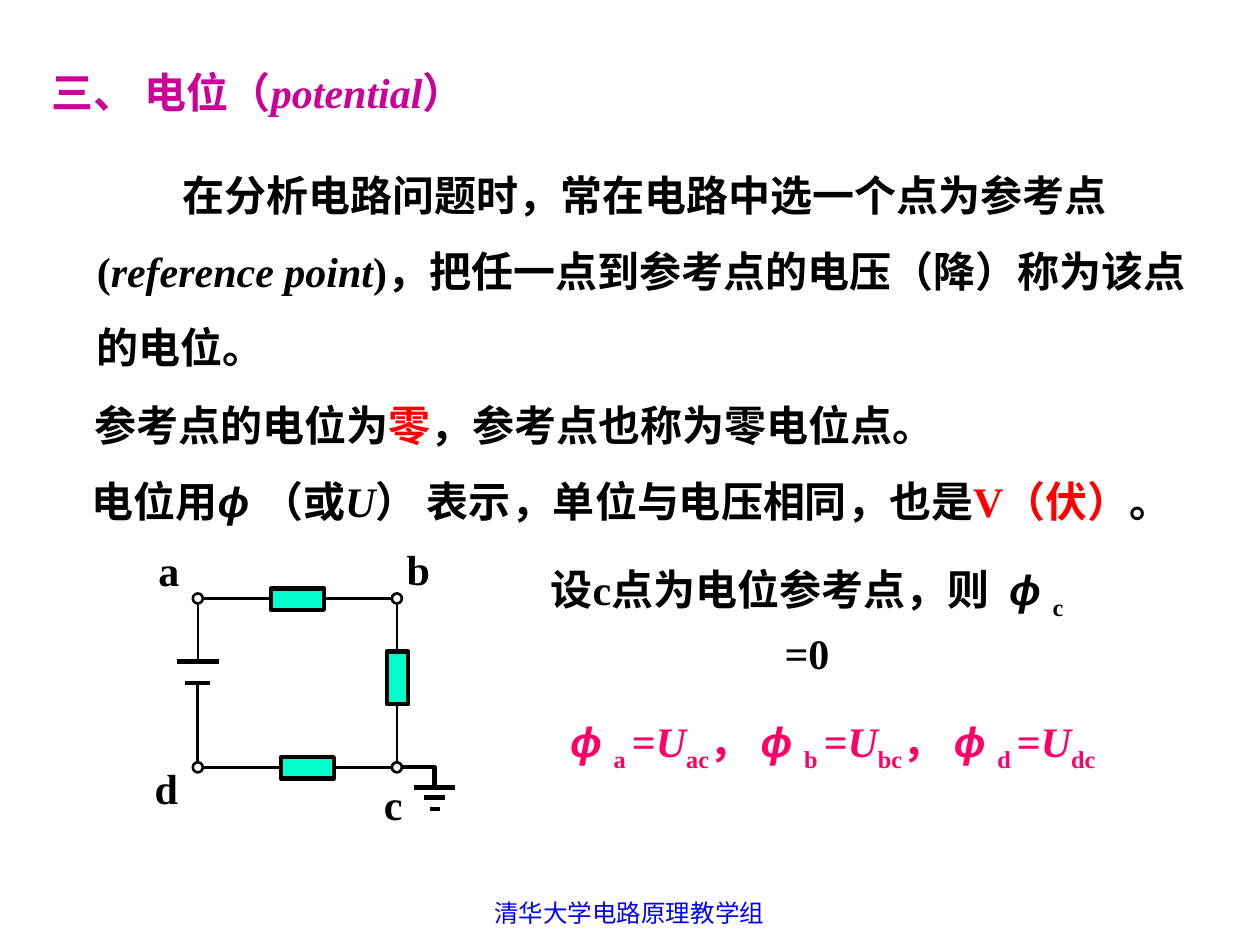
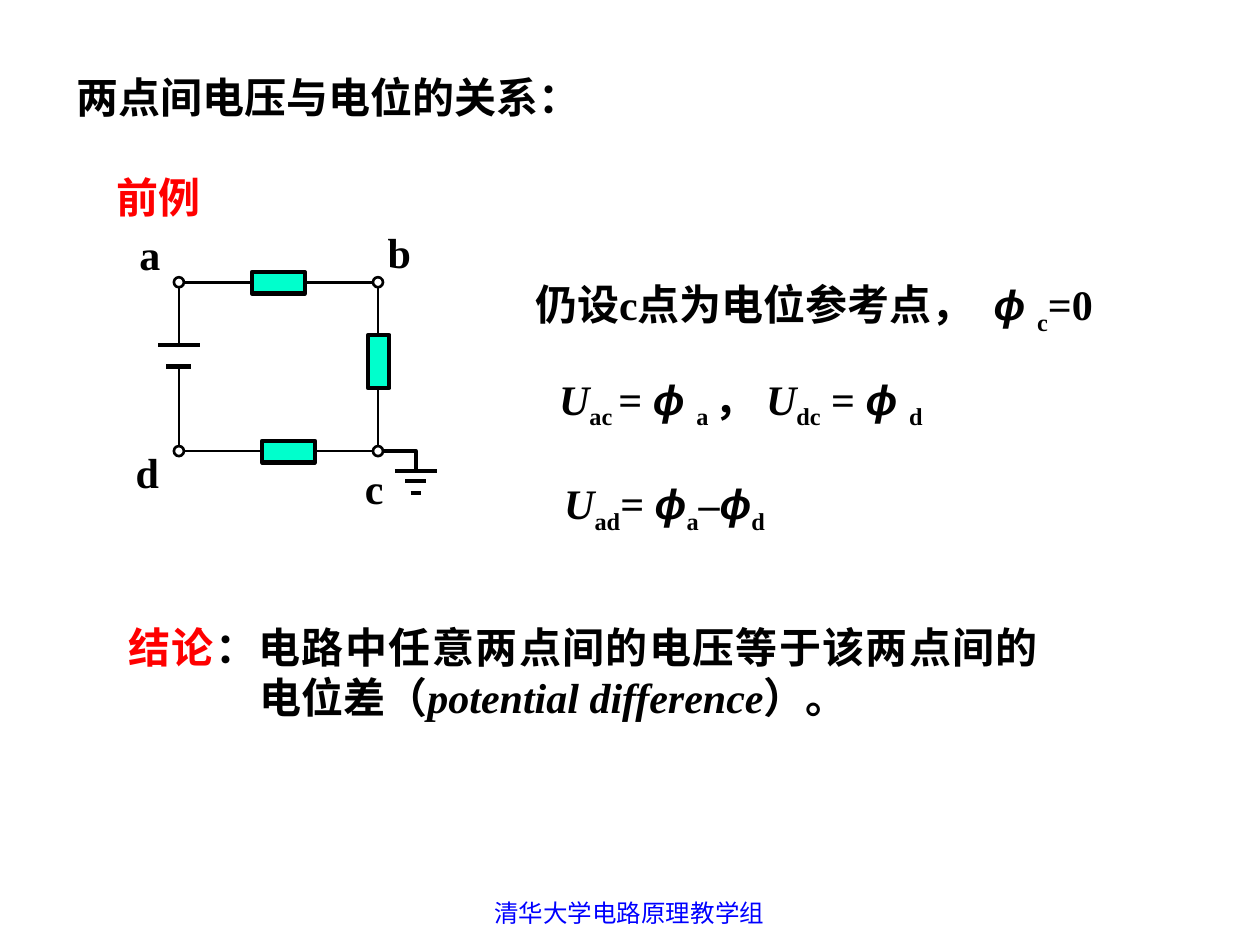
from lxml import etree
from pptx import Presentation
from pptx import util as u
from pptx.dml.color import RGBColor
from pptx.enum import shapes, text
from pptx.oxml import ns

COLORS = {
    "black": "000000", "red": "FF0000", "title": "CC0099", "pink": "FF0066",
    "footer": "0000FF", "resistor": "00FFCC", "node": "FFFFFF",
}
SERIF, SANS, CHINESE = "Times New Roman", "Arial", "Noto Sans CJK SC"
LEFT, CENTER, JUSTIFY = text.PP_ALIGN.LEFT, text.PP_ALIGN.CENTER, text.PP_ALIGN.JUSTIFY
MIDDLE, BOTTOM, TOP = text.MSO_ANCHOR.MIDDLE, text.MSO_ANCHOR.BOTTOM, text.MSO_ANCHOR.TOP

PHI = ("ϕ ", "phi")
TIGHT_PHI = ("ϕ", "phi")
VOLTAGE = ("U", "italic")
WIDE_SPACE = (" ", "wide")

FOOTER = dict(box=(3.41, 7.08, 3.17, 0.27), runs=[("清华大学电路原理教学组", "")],
              align=CENTER, anchor=TOP, color="footer", size=14, bold=False, font=SANS)

SLIDES = [
    dict(
        texts=[
            dict(box=(0.67, 1.1, 9, 1.9), anchor=BOTTOM, first_line=0.68, line=43.4, runs=[
                ("在分析电路问题时，常在电路中选一个点为参考点(", ""),
                ("reference point", "italic"),
                (")，把任一点到参考点的电压（降）称为该点的电位。", "")]),
            dict(box=(0.65, 2.92, 8.67, 0.7), align=JUSTIFY, line=43.4, runs=[
                ("参考点的电位为", ""), ("零", "red"), ("，参考点也称为零电位点。", "")]),
            dict(box=(0.63, 3.52, 9, 0.9), line=29.5, runs=[
                ("电位用", ""), PHI, ("（或", ""), VOLTAGE,
                ("） 表示，单位与电压相同，也是", ""), ("V（伏）", "red"), ("。", "")]),
            dict(box=(4.07, 4.45, 4.67, 0.96), align=CENTER, line=32.6, runs=[
                ("设c点为电位参考点，则", ""), WIDE_SPACE, PHI, ("c ", "sub"), ("=0", "")]),
            dict(box=(3.57, 5.63, 6.08, 0.56), align=CENTER, color="pink", runs=[
                PHI, ("a ", "sub"), ("=", ""), VOLTAGE, ("ac", "sub"), ("， ", ""),
                PHI, ("b ", "sub"), ("=", ""), VOLTAGE, ("bc", "sub"), ("， ", ""),
                PHI, ("d ", "sub"), ("=", ""), VOLTAGE, ("dc", "sub")]),
            dict(box=(0.31, 0.48, 5.5, 0.5), color="title", runs=[
                ("三、 电位", ""), ("（", "chinese"), ("potential", "italic"), ("）", "chinese")]),
        ],
        circuit=dict(origin=(1.57, 4.75), ground_width=2.5),
    ),
    dict(
        texts=[
            dict(box=(0.51, 0.52, 5.17, 0.5), align=JUSTIFY,
                 runs=[("两点间电压与电位的关系：", "")]),
            dict(box=(3.92, 2.16, 5.08, 0.56), align=CENTER, runs=[
                ("仍设c点为电位参考点，", ""), WIDE_SPACE, PHI, ("c", "sub"), ("=0", "")]),
            dict(box=(3.92, 2.91, 3.92, 0.56), align=CENTER, runs=[
                VOLTAGE, ("ac ", "sub"), ("= ", ""), PHI, ("a ", "sub"), ("， ", ""),
                VOLTAGE, ("dc", "sub"), (" = ", ""), PHI, ("d", "sub")]),
            dict(box=(4.38, 3.74, 2.5, 0.56), runs=[
                VOLTAGE, ("ad", "sub"), ("= ", ""), TIGHT_PHI, ("a", "sub"),
                ("–", ""), TIGHT_PHI, ("d", "sub")]),
            dict(box=(0.51, 1.31, 1.5, 0.5), align=CENTER, color="red", runs=[("前例", "")]),
            dict(box=(0.92, 4.8, 7.42, 1.06), align=JUSTIFY, margin=1.04, first_line=-1.04,
                 line=28.6, runs=[
                     ("结论", "red"), ("：电路中任意两点间的电压等于该两点间的电位差（", ""),
                     ("potential difference", "italic"), ("）。", "")]),
        ],
        circuit=dict(origin=(1.42, 2.24), ground_width=2.25),
    ),
]

RIGHT, LOW = 1.58, 1.34
NODE_SIZE = 0.08
NODES = [(x, y) for x in (0, RIGHT) for y in (0, LOW)]
NODE_LABELS = {"a": (-0.5, -0.48, 0.54, 0.5), "b": (1.5, -0.49, 0.5, 0.5),
               "c": (1.34, 1.38, 0.42, 0.5), "d": (-0.5, 1.25, 0.5, 0.5)}
RESISTORS = [(0.58, -0.08, 0.42, 0.17), (0.66, LOW - 0.08, 0.42, 0.17),
             (RIGHT - 0.08, 0.42, 0.17, 0.42)]
WIRES = [
    [(0, 0.5), (0, 0), (0.58, 0)],
    [(1, 0), (RIGHT, 0), (RIGHT, 0.42)],
    [(0, 0.67), (0, LOW), (0.66, LOW)],
    [(1.08, LOW), (RIGHT, LOW), (RIGHT, 0.84)],
]
GROUND_WIRE = [(1.62, LOW), (1.88, LOW), (1.88, 1.5)]
GROUND_BARS = [(1.88, 1.5, 0.33), (1.88, 1.58, 0.17), (1.88, 1.67, 0.08)]
BATTERY_BARS = [(0, 0.5, 0.33), (0, 0.67, 0.2)]


def rgb(name):
    return RGBColor.from_string(COLORS[name])


def inches(values):
    return [u.Inches(value) for value in values]


def add_run(paragraph, content, style, color, size, bold, font):
    run = paragraph.add_run()
    run.text = content
    run.font.size = u.Pt(size)
    run.font.bold = bold
    run.font.italic = style in ("italic", "phi")
    run.font.name = {"phi": SANS, "chinese": CHINESE}.get(style, font)
    run.font.color.rgb = rgb("red" if style == "red" else color)
    properties = run.font._element
    latin = properties.find(ns.qn("a:latin"))
    east_asian = etree.Element(ns.qn("a:ea"), typeface=CHINESE)
    latin.addnext(east_asian)
    if style == "sub":
        properties.set("baseline", "-25000")
    if style == "wide":
        properties.set("spc", "600")


def add_text(slide, box, runs, align=LEFT, anchor=MIDDLE, color="black", size=24,
             bold=True, font=SERIF, line=None, margin=0, first_line=0):
    frame = slide.shapes.add_textbox(*inches(box)).text_frame
    frame.word_wrap = True
    frame.vertical_anchor = anchor
    paragraph = frame.paragraphs[0]
    paragraph.alignment = align
    if line:
        paragraph.line_spacing = u.Pt(line)
    if margin or first_line:
        properties = paragraph._p.get_or_add_pPr()
        properties.set("marL", str(u.Inches(margin)))
        properties.set("indent", str(u.Inches(first_line)))
    for content, style in runs:
        add_run(paragraph, content, style, color, size, bold, font)


def outline(shape, width):
    shape.line.color.rgb = rgb("black")
    shape.line.width = u.Pt(width)


def add_filled(slide, kind, box, fill, width):
    shape = slide.shapes.add_shape(kind, *inches(box))
    shape.shadow.inherit = False
    shape.fill.solid()
    shape.fill.fore_color.rgb = rgb(fill)
    outline(shape, width)


def add_wire(slide, points, width):
    start, *rest = [inches(point) for point in points]
    builder = slide.shapes.build_freeform(*start)
    builder.add_line_segments(rest, close=False)
    shape = builder.convert_to_shape()
    shape.shadow.inherit = False
    shape.fill.background()
    outline(shape, width)


def add_bar(slide, center, y, length, width):
    ends = inches((center - length / 2, y, center + length / 2, y))
    connector = slide.shapes.add_connector(shapes.MSO_CONNECTOR.STRAIGHT, *ends)
    etree.SubElement(connector._element.spPr, ns.qn("a:effectLst"))
    outline(connector, width)


def add_circuit(slide, origin, ground_width):
    left, top = origin

    def place(x, y, *size):
        return (left + x, top + y, *size)

    add_wire(slide, [place(*point) for point in GROUND_WIRE], ground_width)
    for bars, width in ((GROUND_BARS, ground_width), (BATTERY_BARS, 2.5)):
        for bar in bars:
            add_bar(slide, *place(*bar), width)
    for box in RESISTORS:
        add_filled(slide, shapes.MSO_SHAPE.RECTANGLE, place(*box), "resistor", 2.5)
    for wire in WIRES:
        add_wire(slide, [place(*point) for point in wire], 1.5)
    for x, y in NODES:
        box = place(x - NODE_SIZE / 2, y - NODE_SIZE / 2, NODE_SIZE, NODE_SIZE)
        add_filled(slide, shapes.MSO_SHAPE.OVAL, box, "node", 1.5)
    for name, box in NODE_LABELS.items():
        add_text(slide, place(*box), [(name, "")], align=CENTER)


def main():
    presentation = Presentation()
    presentation.slide_width = u.Inches(10)
    presentation.slide_height = u.Inches(7.5)
    for content in SLIDES:
        slide = presentation.slides.add_slide(presentation.slide_layouts[6])
        for item in content["texts"]:
            add_text(slide, **item)
        add_circuit(slide, **content["circuit"])
        add_text(slide, **FOOTER)
    presentation.save("out.pptx")


if __name__ == "__main__":
    main()
